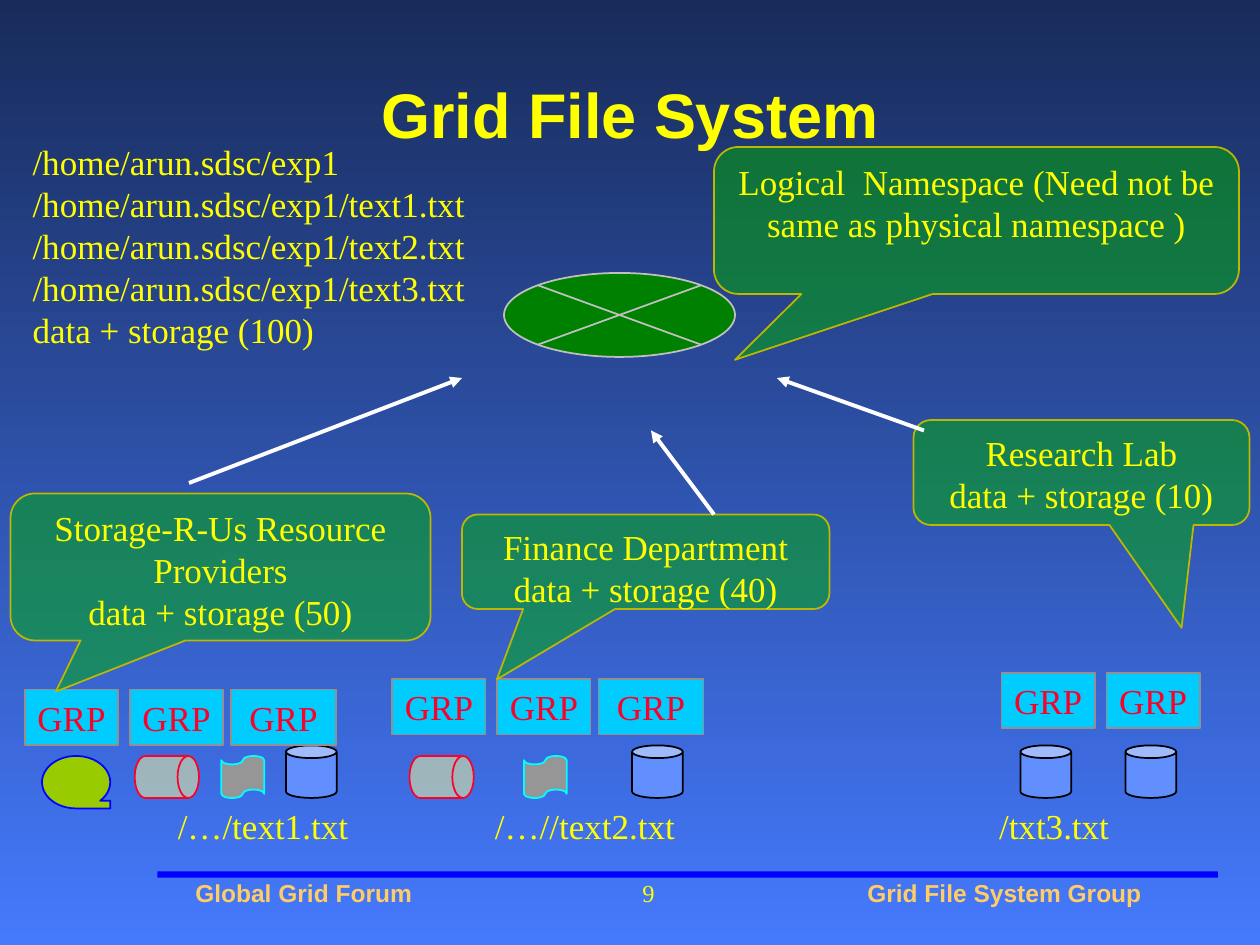
import pptx
import pptx.dml.color
import pptx.enum.shapes
import pptx.enum.text
import pptx.oxml
import pptx.oxml.ns
import pptx.util
import lxml.etree

Pt = pptx.util.Pt
SHAPE = pptx.enum.shapes.MSO_SHAPE
ALIGN = pptx.enum.text.PP_ALIGN
ANCHOR = pptx.enum.text.MSO_ANCHOR

YELLOW = "FFFF00"
RED = "FC0128"
SERIF = "Times New Roman"
SANS = "Arial"

# Offset and width of each resource provider in a site
PROVIDERS = ((0, 53.3), (60, 53.3), (117.8, 60))

# Device kinds: preset, width, height, fill, line, opacity in percent
DEVICES = {
    "can": (SHAPE.CAN, 29, 30, "618FFD", "000000", 100),
    "drum": (SHAPE.FLOWCHART_DIRECT_ACCESS_STORAGE, 36.7, 24, "FFFF99", RED, 50),
    "tape": (SHAPE.FLOWCHART_SEQUENTIAL_ACCESS_STORAGE, 39, 30, "99CC00", "0000FF", 100),
    "punched tape": (SHAPE.FLOWCHART_PUNCHED_TAPE, 24.5, 24, "969696", "00FFFF", 100),
}


def color(value):
    return pptx.dml.color.RGBColor.from_string(value)


def sub_element(parent, tag, **attributes):
    return lxml.etree.SubElement(parent, pptx.oxml.ns.qn(tag), attributes)


def add_text(shape, lines, size=20, font=SERIF, text_color=YELLOW, bold=False,
             align=ALIGN.LEFT, anchor=ANCHOR.TOP, wrap=True, left_inset=7.2):
    frame = shape.text_frame
    frame.word_wrap = wrap
    frame.vertical_anchor = anchor
    frame.margin_left = Pt(left_inset)
    for index, line in enumerate(lines):
        paragraph = frame.add_paragraph() if index else frame.paragraphs[0]
        paragraph.alignment = align
        run = paragraph.add_run()
        run.text = line
        run.font.size = Pt(size)
        run.font.name = font
        run.font.bold = bold
        run.font.color.rgb = color(text_color)


def add_label(shapes, box, lines, **style):
    add_text(shapes.add_textbox(*map(Pt, box)), lines, **style)


def add_figure(shapes, preset, box, fill, line=None, opacity=100):
    shape = shapes.add_shape(preset, *map(Pt, box))
    shape.shadow.inherit = False
    shape.fill.solid()
    shape.fill.fore_color.rgb = color(fill)
    if opacity < 100:
        fill_color = shape.fill._xPr.find(".//" + pptx.oxml.ns.qn("a:srgbClr"))
        sub_element(fill_color, "a:alpha", val=str(opacity * 1000))
    if line:
        shape.line.color.rgb = color(line)
        shape.line.width = Pt(1)
    else:
        shape.line.fill.background()
    return shape


def add_callout(slide, box, pointer, lines):
    shape = add_figure(slide.shapes, SHAPE.ROUNDED_RECTANGULAR_CALLOUT, box,
                       "00AE00", "BCB800", 50)
    shape.adjustments[0], shape.adjustments[1] = pointer
    add_text(shape, lines, align=ALIGN.CENTER)


def add_arrow(slide, start, end):
    arrow = slide.shapes.add_connector(
        pptx.enum.shapes.MSO_CONNECTOR.STRAIGHT, *map(Pt, start + end))
    arrow.line.color.rgb = color("FFFFFF")
    arrow.line.width = Pt(2.25)
    sub_element(arrow.line._get_or_add_ln(), "a:tailEnd", type="triangle")
    sub_element(arrow._element.spPr, "a:effectLst")


def add_background(slide):
    fill = slide.background.fill
    fill.gradient()
    fill.gradient_angle = 270
    for stop, value in zip(fill.gradient_stops, ("182B5A", "457AFD")):
        stop.color.rgb = color(value)


def add_footer(slide, box):
    left, top, width, height = box
    add_figure(slide.shapes, SHAPE.RECTANGLE, (left, top, width, 3.6), "0000FF")
    add_label(slide.shapes, (left + 270, top, 36, height), ["9"], size=14)
    for offset, text in ((18, "Global Grid Forum"), (402, "Grid File System Group")):
        add_label(slide.shapes, (left + offset, top, 210, height), [text], size=14,
                  font=SANS, text_color="FFCC66", bold=True, left_inset=3.6)


def add_site(slide, box, provider_count, devices, file_label):
    """Providers line the top of the box, devices stand on its bottom edge."""
    left, top, width, height = box
    bottom = top + height
    shapes = slide.shapes.add_group_shape().shapes

    # Storage devices
    for kind, offset in devices:
        preset, device_width, device_height, fill, line, opacity = DEVICES[kind]
        # The tape's tail hangs below the row
        device_top = bottom - (24 if kind == "tape" else device_height)
        device = add_figure(shapes, preset,
                            (left + offset, device_top, device_width, device_height),
                            fill, line, opacity)
        if kind == "can":
            device.adjustments[0] = 0.25

    # Resource providers
    for offset, provider_width in PROVIDERS[:provider_count]:
        provider = add_figure(shapes, SHAPE.RECTANGLE,
                              (left + offset, top, provider_width, 31.7),
                              "00CCFF", "919191")
        add_text(provider, ["GRP"], text_color=RED, align=ALIGN.CENTER,
                 anchor=ANCHOR.MIDDLE, wrap=False)

    # Physical file name
    offset, text = file_label
    add_label(shapes, (left + offset, bottom, 135, 31.7), [text])


def add_namespace(slide, box):
    left, top, width, height = box
    # Logical paths
    add_label(slide.shapes, (left, top, 275, height), [
        "/home/arun.sdsc/exp1",
        "/home/arun.sdsc/exp1/text1.txt",
        "/home/arun.sdsc/exp1/text2.txt",
        "/home/arun.sdsc/exp1/text3.txt",
        "data + storage (100)",
    ])
    # Junction of all sites
    add_figure(slide.shapes, SHAPE.FLOWCHART_SUMMING_JUNCTION,
               (left + 276.5, top + 79, 132, 48), "008000", "C0C0C0")
    add_callout(slide, (left + width - 300, top + 7, 300, 84), (-0.46, 0.948),
                ["Logical  Namespace (Need not be same as physical namespace )"])


def main():
    presentation = pptx.Presentation()
    presentation.slide_width, presentation.slide_height = Pt(720), Pt(540)
    slide = presentation.slides.add_slide(presentation.slide_layouts[6])
    add_background(slide)
    add_footer(slide, (90, 498, 606, 24))
    add_label(slide.shapes, (12, 24, 696, 82), ["Grid File System"], size=36,
              font=SANS, bold=True, align=ALIGN.CENTER, anchor=ANCHOR.MIDDLE)

    # Physical sites
    add_site(slide, (14.2, 394, 179, 62), 3,
             (("can", 149.2), ("drum", 62.8), ("tape", 9.8), ("punched tape", 112.3)),
             (80.3, "/…/text1.txt"))
    add_site(slide, (224.2, 388, 178, 68), 3,
             (("can", 137), ("drum", 9.8), ("punched tape", 75.2)),
             (51.5, "/…//text2.txt"))
    add_site(slide, (572.3, 384.5, 113, 71.5), 2,
             (("can", 10.8), ("can", 70.8)),
             (-8.5, "/txt3.txt"))

    # Site owners
    add_callout(slide, (6, 282, 240, 84), (-0.392, 0.848),
                ["Storage-R-Us Resource Providers", "data + storage (50)"])
    add_callout(slide, (264, 294, 210, 54), (-0.405, 1.245),
                ["Finance Department", "data + storage (40)"])
    add_callout(slide, (522, 240, 192, 60), (0.298, 1.479),
                ["Research Lab", "data + storage (10)"])

    # Sites feed the logical namespace
    add_namespace(slide, (11.5, 77, 696.5, 127.5))
    for start, end in (((108, 276), (264, 216)),
                       ((408, 294), (372, 246)),
                       ((528, 246), (444, 216))):
        add_arrow(slide, start, end)

    presentation.save("out.pptx")


if __name__ == "__main__":
    main()
